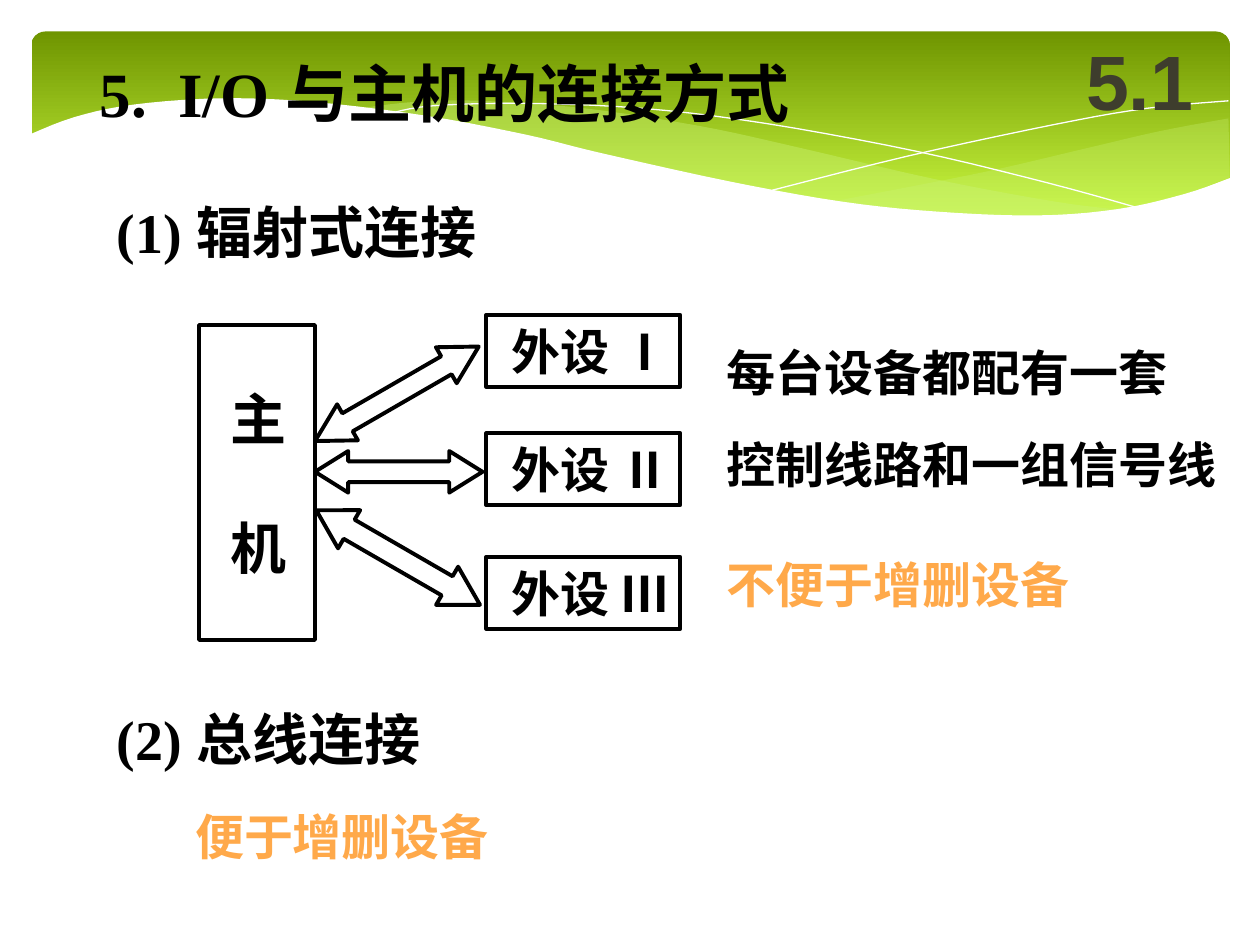
from dataclasses import dataclass

from lxml.etree import SubElement
from pptx import Presentation
from pptx.dml.color import RGBColor
from pptx.enum.shapes import MSO_SHAPE as Preset
from pptx.enum.text import MSO_ANCHOR as Anchor, MSO_AUTO_SIZE as AutoSize, PP_ALIGN as Align
from pptx.oxml.ns import qn
from pptx.util import Inches, Pt

CELL = Inches(0.1)
BLACK, ORANGE, WHITE, VEIL = "000000", "FFA94A", "FFFFFF", "CAF278"
TITLE = {"size": Pt(36), "name": "Times New Roman", "bold": True}
HEADING = {**TITLE, "size": Pt(32)}
BODY = {**TITLE, "size": Pt(28)}
SECTION = {"size": Pt(44), "name": "Arial", "bold": True}


@dataclass
class Box:
    """A region measured in grid cells, 100 columns by 75 rows to the slide."""
    left: float
    top: float
    width: float
    height: float

    def inner(self, column, row, width, height):
        """Return a box placed relative to this one."""
        return Box(self.left + column, self.top + row, width, height)

    def lengths(self):
        """Return left, top, width and height in slide units."""
        return [round(v * CELL) for v in (self.left, self.top, self.width, self.height)]


def rgb(value):
    """Turn a hex string into a colour."""
    return RGBColor.from_string(value)


def write(shape, text, font, color=BLACK, align=Align.LEFT, anchor=Anchor.TOP, insets=(0.1, 0)):
    """Put one formatted paragraph into a shape."""
    frame = shape.text_frame
    frame.text = text
    frame_format = {
        "word_wrap": True, "auto_size": AutoSize.NONE, "vertical_anchor": anchor,
        "margin_left": Inches(insets[0]), "margin_right": Inches(insets[1]),
        "margin_top": Inches(0.05), "margin_bottom": Inches(0.05),
    }
    for name, value in frame_format.items():
        setattr(frame, name, value)
    paragraph = frame.paragraphs[0]
    paragraph.alignment = align
    for name, value in font.items():
        setattr(paragraph.font, name, value)
    paragraph.font.color.rgb = rgb(color)


def add_text(slide, box, text, font, **options):
    """Add a text box with one paragraph."""
    write(slide.shapes.add_textbox(*box.lengths()), text, font, **options)


def add_outline(slide, preset, box, rotation=0):
    """Add an unfilled preset shape with a black border."""
    shape = slide.shapes.add_shape(preset, *box.lengths())
    shape.shadow.inherit = False
    shape.fill.background()
    shape.line.color.rgb = rgb(BLACK)
    shape.line.width = Pt(2.25)
    shape.rotation = rotation
    return shape


def smooth_curve(points, steps=5):
    """Return points along a Catmull-Rom curve through the given points."""
    padded = [points[0], *points, points[-1]]
    curve = [points[0]]
    for a, b, c, d in zip(padded, padded[1:], padded[2:], padded[3:]):
        for step in range(1, steps + 1):
            t = step / steps
            curve.append(tuple(
                0.5 * (2 * q + (r - p) * t + (2 * p - 5 * q + 4 * r - s) * t**2
                       + (3 * q - p - 3 * r + s) * t**3)
                for p, q, r, s in zip(a, b, c, d)))
    return curve


def add_wave(slide, box, curves, fill=None, opacity=100):
    """Draw joined smooth curves, as a filled area or as a white hairline."""
    points = [(round((box.left + x) * CELL), round((box.top + y) * CELL))
              for curve in curves for x, y in smooth_curve(curve)]
    builder = slide.shapes.build_freeform(*points[0])
    builder.add_line_segments(points[1:], close=fill is not None)
    shape = builder.convert_to_shape()
    shape.shadow.inherit = False
    if fill is None:
        shape.fill.background()
        shape.line.color.rgb = rgb(WHITE)
        shape.line.width = Pt(0)
        return
    shape.fill.solid()
    shape.fill.fore_color.rgb = rgb(fill)
    shape.line.fill.background()
    if opacity < 100:
        color = next(shape.element.spPr.iter(qn("a:srgbClr")))
        SubElement(color, qn("a:alpha"), val=str(opacity * 1000))


def add_banner(slide, box):
    """Draw the green banner with its waves."""
    band = slide.shapes.add_shape(Preset.ROUNDED_RECTANGLE, *box.inner(2.5, 2.5, 95.1, 15.6).lengths())
    band.shadow.inherit = False
    band.adjustments[0] = 0.07
    band.line.fill.background()
    band.fill.gradient()
    band.fill.gradient_angle = 270
    for stop, color, position in zip(band.fill.gradient_stops, ("6F9500", "D0FF44"), (0, 1)):
        stop.color.rgb = rgb(color)
        stop.position = position

    right_veil = [
        [(97.5, 9.4), (92.1, 10.4), (86.1, 11.8), (77.9, 13.7), (66.1, 16)],
        [(66.1, 16), (73.2, 16.8), (80.3, 17.2), (86.3, 17), (92.1, 16), (97.6, 14.1)],
    ]
    long_veil = [
        [(89.3, 16.7), (83.7, 16), (74.1, 14.2), (62.9, 11.6), (55.5, 10), (46.4, 8.6),
         (38, 8), (32.8, 8.1), (28.6, 8.6)],
        [(28.6, 8.6), (36.2, 9.7), (44.9, 11.6), (56.6, 14.3), (66.5, 16.1), (74.8, 17),
         (81.8, 17.3), (86.7, 17), (89.3, 16.7)],
    ]
    falling_line = [[(30.9, 9), (34.3, 8.4), (41.6, 8.2), (51, 8.6), (60.8, 9.8),
                     (72.7, 12), (83.1, 14.5), (90.7, 16.6)]]
    rising_line = [[(61.3, 15.1), (72, 12.4), (83.6, 9.9), (91, 8.6), (97.5, 8)]]
    white_wave = [
        [(97.7, 14.1), (94, 15.4), (88.7, 16.6), (82.3, 17.1), (74.4, 16.8), (66.8, 16),
         (57.9, 14.4), (47.5, 12.1), (41.8, 10.7), (33.9, 9.2), (25, 8.1), (17.6, 7.8),
         (10.6, 8.3), (5.9, 9.3), (2.3, 10.7)],
        [(2.3, 22.4), (97.7, 22.4)],
    ]
    add_wave(slide, box, right_veil, VEIL, 29)
    add_wave(slide, box, long_veil, VEIL, 40)
    add_wave(slide, box, falling_line)
    add_wave(slide, box, rising_line)
    add_wave(slide, box, white_wave, WHITE)


def place_title(slide, box):
    """Put the title in front of the banner, with the section number beside it."""
    title = slide.shapes.title
    title.left, title.top, title.width, title.height = box.inner(0, 2.1, 59.8, 7).lengths()
    write(title, "5.  I/O 与主机的连接方式", TITLE)
    title.element.getparent().append(title.element)
    add_text(slide, box.inner(77.3, 0, 12.5, 9.2), "5.1", SECTION, color="3E3D2D",
             align=Align.CENTER, anchor=Anchor.MIDDLE, insets=(0.1, 0.1))


def add_radial_diagram(slide, box):
    """Draw the host joined to three devices by double arrows."""
    for text, row in (("外设 Ⅰ", 0), ("外设 Ⅱ", 9.4), ("外设 Ⅲ", 19.2)):
        device = add_outline(slide, Preset.RECTANGLE, box.inner(22.8, row, 15.4, 5.7))
        write(device, text, BODY, insets=(0.2, 0))
    arrows = (
        (box.inner(9.2, 10.8, 13.3, 3.3), 0, 0.8),
        (box.inner(8.3, 17.5, 15, 3.5), 30, 0.86),
        (box.inner(8.2, 4.6, 15, 3.3), 150, 0.9),
    )
    for arrow_box, rotation, head in arrows:
        arrow = add_outline(slide, Preset.LEFT_RIGHT_ARROW, arrow_box, rotation)
        arrow.adjustments[1] = head
    add_outline(slide, Preset.RECTANGLE, box.inner(0, 0.8, 9.2, 25))
    for text, row in (("主", 5), ("机", 15.3)):
        add_text(slide, box.inner(1.5, row, 6.4, 6.4), text, HEADING)


def add_remarks(slide, box):
    """Write the remarks beside the diagram."""
    remarks = (("每台设备都配有一套", 0, BLACK), ("控制线路和一组信号线", 7.3, BLACK),
               ("不便于增删设备", 16.8, ORANGE))
    for text, row, color in remarks:
        add_text(slide, box.inner(0, row, box.width, 5.7), text, BODY, color=color)


def add_bus_section(slide, box):
    """Write the bus connection heading and its remark."""
    add_text(slide, box.inner(0, 0, 39.2, 6.4), "(2) 总线连接", HEADING)
    add_text(slide, box.inner(6.2, 8.1, 65.8, 5.7), "便于增删设备", BODY, color=ORANGE)


def main():
    """Build and save the slide."""
    presentation = Presentation()
    presentation.slide_width, presentation.slide_height = 100 * CELL, 75 * CELL
    slide = presentation.slides.add_slide(presentation.slide_layouts[5])
    add_banner(slide, Box(0, 0, 100, 22.4))
    place_title(slide, Box(6.9, 1.7, 89.8, 9.2))
    add_text(slide, Box(8.3, 15.2, 42.5, 6.4), "(1) 辐射式连接", HEADING)
    add_radial_diagram(slide, Box(15.8, 25, 38.2, 25.8))
    add_remarks(slide, Box(56.7, 26.7, 40.8, 22.5))
    add_bus_section(slide, Box(8.3, 55.4, 72, 13.8))
    presentation.save("out.pptx")


if __name__ == "__main__":
    main()
